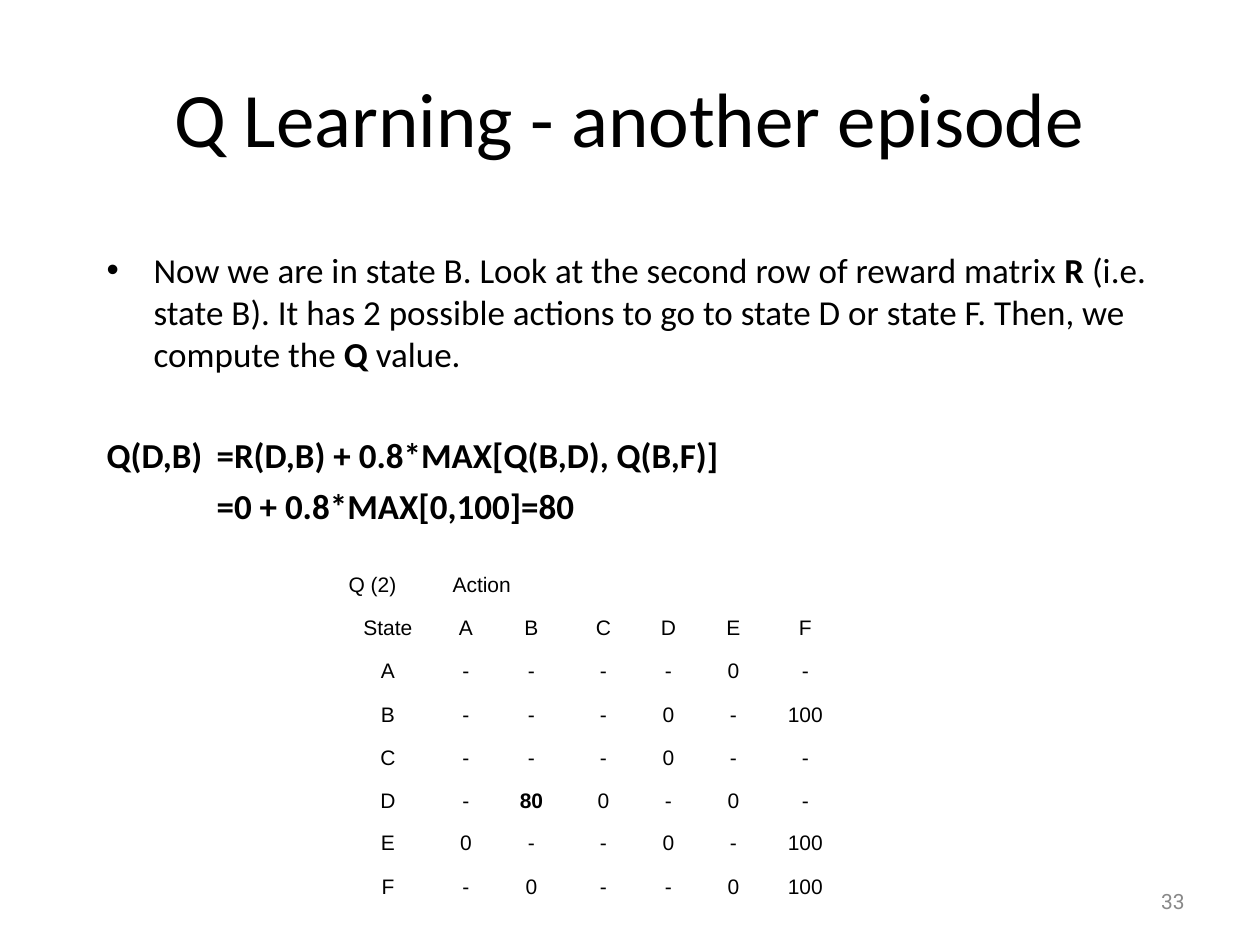
"""Build the slide on a second Q learning episode."""
from dataclasses import dataclass

from lxml import etree
from pptx import Presentation
from pptx.dml.color import RGBColor
from pptx.enum.text import MSO_ANCHOR, MSO_AUTO_SIZE, PP_ALIGN
from pptx.oxml.ns import qn
from pptx.util import Pt

LEFT, CENTER, RIGHT = PP_ALIGN.LEFT, PP_ALIGN.CENTER, PP_ALIGN.RIGHT
MIDDLE, BOTTOM = MSO_ANCHOR.MIDDLE, MSO_ANCHOR.BOTTOM
NO_FIT = MSO_AUTO_SIZE.NONE
INCH = 126
SCALE = 914400 / INCH
BLACK, GRAY = "000000", "898989"
HANG = 47
STOPS = 8


@dataclass
class Box:
    """A place on the slide in px."""
    left: int
    top: int
    width: int
    height: int

    def emu(self) -> list[int]:
        """Return the four lengths in EMU."""
        return [px(n) for n in (self.left, self.top, self.width, self.height)]


@dataclass
class Item:
    """A body paragraph made of text and bold pairs."""
    runs: list[tuple[str, bool]]
    before: int = 0
    bullet: bool = False


TITLE = Box(63, 38, 1134, 157)
BODY = Box(94, 242, 1113, 651)
NUMBER = Box(903, 876, 294, 50)
GRID = Box(336, 525, 509, 381)
COLS = [104, 52, 79, 65, 65, 65, 79]
ROWS = [78, 43, 43, 44, 43, 43, 43, 44]
HEAD = ["Q (2)", "Action"]
CELLS = [
    "State A B C D E F",
    "A - - - - 0 -",
    "B - - - 0 - 100",
    "C - - - 0 - -",
    "D - 80 0 - 0 -",
    "E 0 - - 0 - 100",
    "F - 0 - - 0 100",
]
ITEMS = [
    Item([
        ("Now we are in state B. Look at the second row of reward matrix ", False),
        ("R ", True),
        ("(i.e. state B). It has 2 possible actions to go to state D or state F. "
         "Then, we compute the ", False),
        ("Q ", True),
        ("value.", False),
    ], bullet=True),
    Item([("Q(D,B)\t=R(D,B) + 0.8*MAX[Q(B,D), Q(B,F)]", True)], before=34),
    Item([("\t\t=0 + 0.8*MAX[0,100]=80", True)], before=5),
]


def px(n: int) -> int:
    """Turn px into EMU."""
    return round(n * SCALE)


def color(code: str) -> RGBColor:
    """Turn a hex string into a colour."""
    return RGBColor.from_string(code)


def place(shape, box: Box) -> None:
    """Move and size a shape."""
    shape.left, shape.top, shape.width, shape.height = box.emu()


def style(run, size: int, font: str, code: str = BLACK, bold: bool = False) -> None:
    """Format one run."""
    run.font.size = Pt(size)
    run.font.name = font
    run.font.bold = bold
    run.font.color.rgb = color(code)


def write(frame, text: str, align, size: int, font: str, code: str = BLACK,
          bold: bool = False) -> None:
    """Set a one-line text and its format."""
    frame.text = text
    para = frame.paragraphs[0]
    para.alignment = align
    for run in para.runs:
        style(run, size, font, code, bold)


def indent(para, bullet: bool) -> None:
    """Give a paragraph its hanging indent, bullet and tab stops."""
    props = para._p.get_or_add_pPr()
    props.set("marL", str(px(HANG)))
    props.set("indent", str(-px(HANG)))
    if bullet:
        etree.SubElement(props, qn("a:buFont"), typeface="Arial")
        etree.SubElement(props, qn("a:buChar"), char="•")
    else:
        etree.SubElement(props, qn("a:buNone"))
    tabs = etree.SubElement(props, qn("a:tabLst"))
    first = 1 if bullet else 0
    for stop in range(first, first + STOPS):
        etree.SubElement(tabs, qn("a:tab"), pos=str(px(stop * INCH)), algn="l")


def fill_body(frame, items: list[Item]) -> None:
    """Write the body paragraphs."""
    frame.auto_size = NO_FIT
    for i, item in enumerate(items):
        para = frame.add_paragraph() if i else frame.paragraphs[0]
        indent(para, item.bullet)
        para.space_before = Pt(item.before)
        for text, bold in item.runs:
            run = para.add_run()
            run.text = text
            style(run, 20, "Calibri", bold=bold)


def add_grid(slide) -> None:
    """Draw the table of Q values."""
    lines = [line.split() for line in CELLS]
    table = slide.shapes.add_table(len(ROWS), len(COLS), *GRID.emu()).table
    table.first_row = table.horz_banding = False
    for col, width in zip(table.columns, COLS):
        col.width = px(width)
    for row, height in zip(table.rows, ROWS):
        row.height = px(height)
    for cell in table.iter_cells():
        cell.fill.background()
        cell.vertical_anchor = BOTTOM
    table.cell(0, 1).merge(table.cell(0, 2))
    for r, line in enumerate([HEAD] + lines):
        for c, text in enumerate(line):
            write(table.cell(r, c).text_frame, text, CENTER if r else LEFT, 12,
                  "Arial", bold=text == "80")


def main() -> None:
    """Build and save the slide."""
    deck = Presentation()
    deck.slide_width, deck.slide_height = px(10 * INCH), px(945)
    slide = deck.slides.add_slide(deck.slide_layouts[1])
    title, body = slide.placeholders
    place(title, TITLE)
    title.text_frame.auto_size = NO_FIT
    title.text_frame.vertical_anchor = MIDDLE
    write(title.text_frame, "Q Learning - another episode", CENTER, 44, "Calibri")
    place(body, BODY)
    fill_body(body.text_frame, ITEMS)
    number = slide.shapes.add_textbox(*NUMBER.emu()).text_frame
    number.word_wrap = True
    number.vertical_anchor = MIDDLE
    write(number, "33", RIGHT, 12, "Roboto", GRAY)
    add_grid(slide)
    deck.save("out.pptx")


if __name__ == "__main__":
    main()
